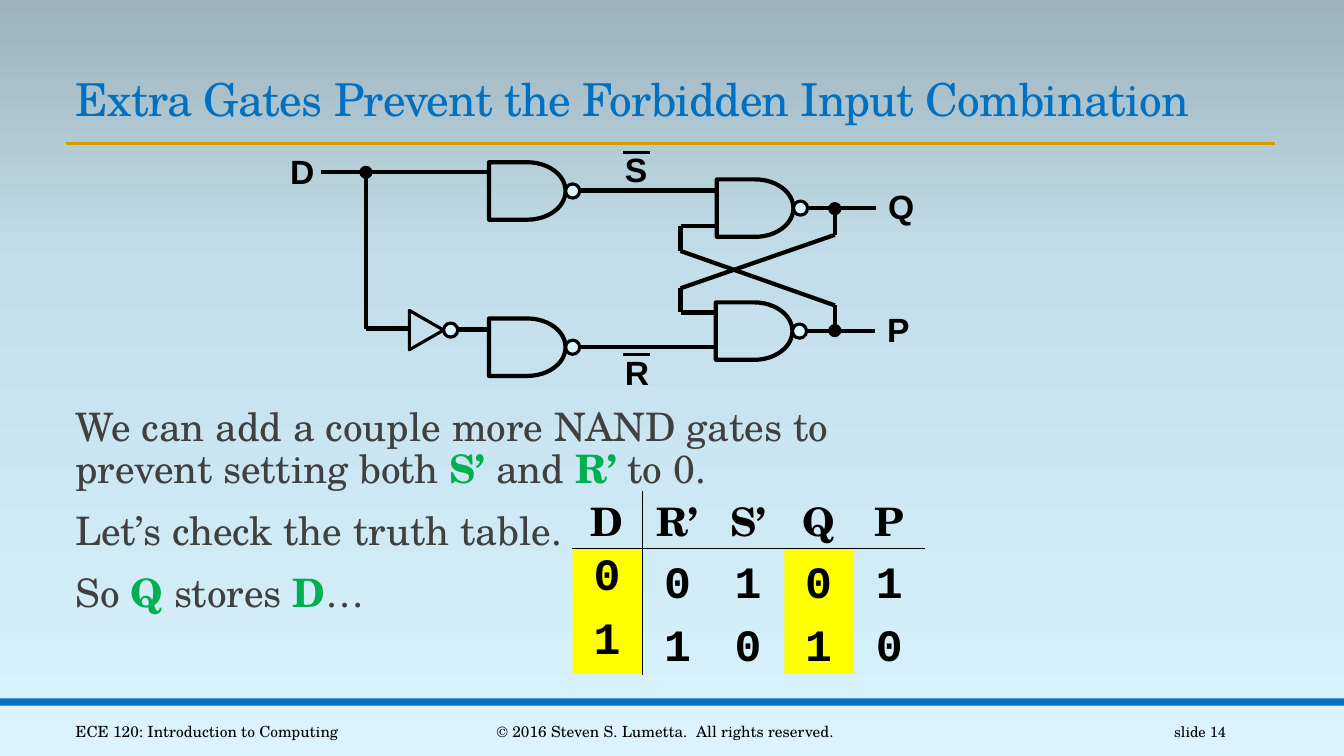
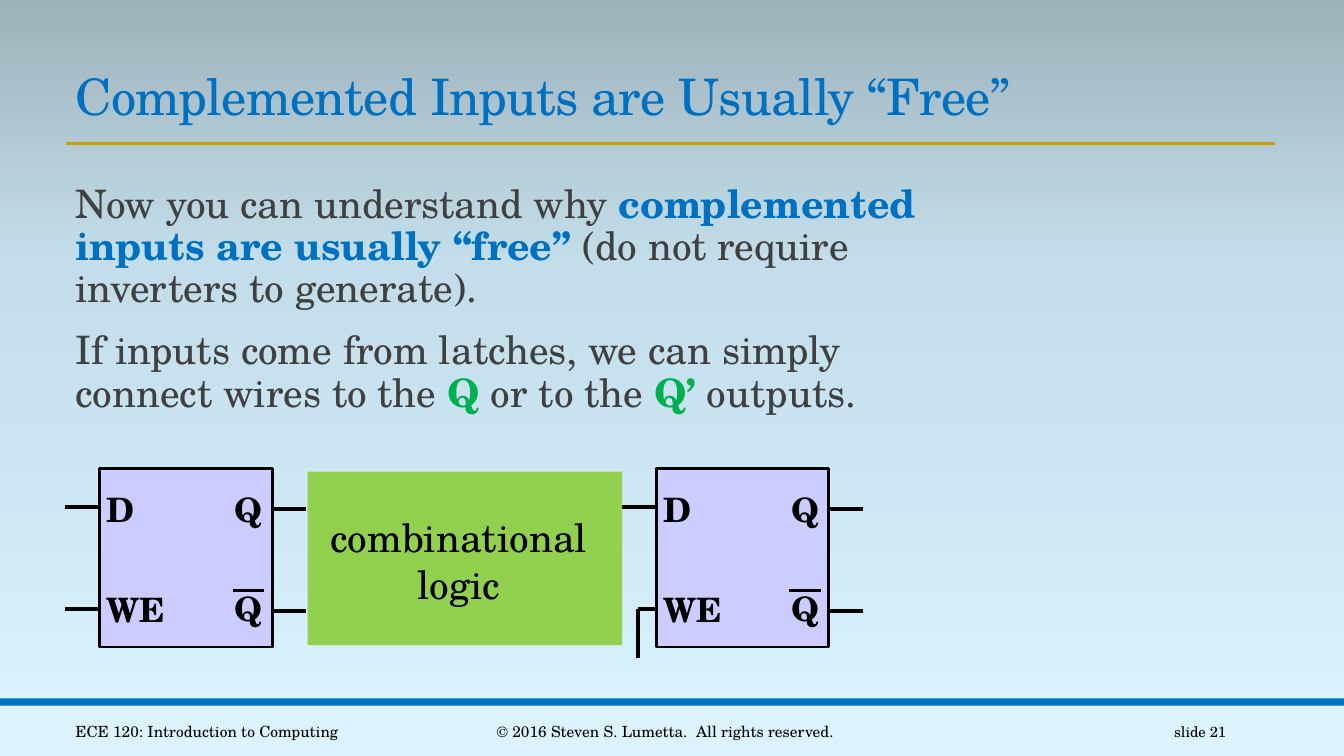
from itertools import pairwise

from lxml.etree import SubElement
from pptx import Presentation
from pptx.dml.color import RGBColor
from pptx.enum.shapes import MSO_CONNECTOR, MSO_SHAPE as Preset
from pptx.enum.text import MSO_ANCHOR as Anchor, PP_ALIGN as Align
from pptx.oxml.ns import qn
from pptx.util import Inches, Pt

SERIF, SANS, MONO = "TeX Gyre Schola", "Arial", "Courier New"
BLACK = RGBColor(0x00, 0x00, 0x00)
BLUE = RGBColor(0x00, 0x70, 0xC0)
GOLD = RGBColor(0xD0, 0x9E, 0x00)
GREEN = RGBColor(0x00, 0xB0, 0x50)
GREY = RGBColor(0x40, 0x40, 0x40)
ICE = RGBColor(0xDC, 0xF3, 0xFD)
YELLOW = RGBColor(0xFF, 0xFF, 0x00)
LILAC = RGBColor(0xCC, 0xCC, 0xFF)
LIME = RGBColor(0x92, 0xD0, 0x50)
SKY = [(0, RGBColor(0xDA, 0xF4, 0xFF)), (65, RGBColor(0xC3, 0xDE, 0xEA)),
       (100, RGBColor(0x9D, 0xB2, 0xBA))]
NO_STYLE_NO_GRID = "{2D5ABB26-0587-4C30-8999-92F81FD0307C}"

WIDTH, HEIGHT = 13.33, 7.5
MARGIN = 0.65
FOOTERS = [  # left, width, alignment, size
    (MARGIN, 3.25, Align.LEFT, 11, "ECE 120: Introduction to Computing"),
    (4.03, 5.14, Align.CENTER, 11, "© 2016 Steven S. Lumetta.  All rights reserved."),
    (10.83, 1.43, Align.RIGHT, 10.5, "slide {}"),
]

# Body paragraphs are lists of (text, accent colour or None).
GATES = {
    "title": "Extra Gates Prevent the Forbidden Input Combination",
    "title_size": 32.4, "number": 14, "body_top": 3.99,
    "body": [
        [("We can add a couple more NAND gates to\nprevent setting both ", None),
         ("S’", GREEN), (" and ", None), ("R’", GREEN), (" to 0.", None)],
        [("Let’s check the truth table.", None)],
        [("So ", None), ("Q", GREEN), (" stores ", None), ("D", GREEN), ("…", None)],
    ],
}
INPUTS = {
    "title": "Complemented Inputs are Usually “Free”",
    "title_size": 36, "number": 21, "body_top": 1.78,
    "body": [
        [("Now you can understand why ", None),
         ("complemented\ninputs are usually “free” ", BLUE),
         ("(do not require inverters to generate).", None)],
        [("If inputs come from latches, we can simply connect wires to the ", None),
         ("Q", GREEN), (" or to the ", None), ("Q’", GREEN), (" outputs.", None)],
    ],
}

# The table holds the headings and the input D; the rest is set on top of it.
TRUTH_TABLE = ["D R’ S’ Q P".split(), ["0"], ["1"]]
RESULTS = ["0101", "1010"]
TABLE_LEFT, TABLE_TOP, COLUMN_WIDTH = 5.67, 4.87, 0.7
ROW_HEIGHTS = [0.57, 0.63, 0.63]
HIGHLIGHTED = (0, 3)

NAND_GATES = [(4.85, 1.61), (4.85, 3.16), (7.11, 1.78), (7.1, 3.0)]
NAND_WIDTH, NAND_HEIGHT = 0.76, 0.57
BUBBLE, DOT = 0.14, 0.1
INVERTER = (4.06, 3.08, 0.34, 0.39)
JUNCTIONS = [(3.63, 1.71), (8.28, 2.07), (8.28, 3.28)]
WIRES = [
    [(3.18, 1.71), (4.85, 1.71)],
    [(3.63, 1.71), (3.63, 3.26), (4.06, 3.26)],
    [(4.54, 3.27), (4.85, 3.27)],
    [(5.75, 1.89), (7.11, 1.89)],
    [(5.75, 3.44), (7.1, 3.44)],
    [(8.02, 2.06), (8.69, 2.06)],
    [(8.0, 3.28), (8.68, 3.28)],
    [(8.28, 2.06), (8.28, 2.33), (6.75, 2.86), (6.75, 3.1), (7.1, 3.1)],
    [(8.28, 3.28), (8.28, 3.03), (6.75, 2.49), (6.75, 2.24), (7.11, 2.24)],
]
SIGNALS = [("D", 2.78, 1.45), ("Q", 8.71, 1.8), ("P", 8.7, 3.02),
           ("S", 6.1, 1.43), ("R", 6.1, 3.44)]
COMPLEMENTED = "SR"

LATCH_TOP, LATCH_WIDTH, LATCH_HEIGHT, STUB = 4.65, 1.71, 1.77, 0.34
LATCHES = (0.99, 6.51)
LATCH_PINS = [("D", -0.03, 0.15), ("WE", -0.03, 1.14), ("Q", 1.24, 0.15), ("Q", 1.24, 1.13)]
LOGIC = ["combinational", "logic"]


def add_shape(slide, preset, left, top, width, height, fill=None, line=None, weight=2.25):
    shape = slide.shapes.add_shape(
        preset, Inches(left), Inches(top), Inches(width), Inches(height))
    shape.shadow.inherit = False
    if fill is None:
        shape.fill.background()
    else:
        shape.fill.solid()
        shape.fill.fore_color.rgb = fill
    if line is None:
        shape.line.fill.background()
    else:
        shape.line.color.rgb = line
        shape.line.width = Pt(weight)
    return shape


def add_circle(slide, center_x, center_y, diameter, fill):
    add_shape(slide, Preset.OVAL, center_x - diameter / 2, center_y - diameter / 2,
              diameter, diameter, fill, BLACK)


def add_wire(slide, points, color=BLACK, weight=3):
    """Join successive points with straight lines."""
    for start, end in pairwise(points):
        wire = slide.shapes.add_connector(
            MSO_CONNECTOR.STRAIGHT, *(Inches(value) for value in start + end))
        wire.line.color.rgb = color
        wire.line.width = Pt(weight)
        SubElement(wire._element.spPr, qn("a:effectLst"))


def style(font, size, name=SERIF, color=BLACK, bold=False):
    font.size, font.name, font.bold = Pt(size), name, bold
    font.color.rgb = color


def add_text(slide, left, top, width, height, text, size, name=SERIF, color=BLACK,
             bold=False, align=Align.LEFT, anchor=Anchor.TOP):
    box = slide.shapes.add_textbox(Inches(left), Inches(top), Inches(width), Inches(height))
    frame = box.text_frame
    frame.word_wrap = True
    frame.vertical_anchor = anchor
    frame.text = text
    for paragraph in frame.paragraphs:
        paragraph.alignment = align
        for run in paragraph.runs:
            style(run.font, size, name, color, bold)
    return frame


def add_label(slide, text, left, top, name, barred=False, bar_width=0.27):
    """Name a signal, with a bar above it when it is complemented."""
    add_text(slide, left, top, 0.8, 0.5, text, 24, name, bold=True)
    if barred:
        bar_left, bar_top = left + 0.08, top + 0.08
        add_wire(slide, [(bar_left, bar_top), (bar_left + bar_width, bar_top)], weight=2)


def paint_background(slide):
    fill = slide.background.fill
    fill.gradient()
    fill.gradient_angle = 90
    stops = slide.element.find(".//" + qn("a:gsLst"))
    for stop in list(stops):
        stops.remove(stop)
    for percent, color in SKY:
        stop = SubElement(stops, qn("a:gs"), pos=str(percent * 1000))
        SubElement(stop, qn("a:srgbClr"), val=str(color))


def add_body(slide, top, paragraphs):
    frame = add_text(slide, MARGIN, top, 8.52, 6.42 - top, "", 28)
    frame.margin_right = 0
    for index, parts in enumerate(paragraphs):
        paragraph = frame.add_paragraph() if index else frame.paragraphs[0]
        paragraph.line_spacing = 0.9
        paragraph.space_before = Pt(12 if index else 0)
        paragraph.space_after = Pt(2)
        for text, accent in parts:
            for number, piece in enumerate(text.split("\n")):
                if number:
                    paragraph.add_line_break()
                run = paragraph.add_run()
                run.text = piece
                style(run.font, 28, color=accent or GREY, bold=accent is not None)


def add_slide(presentation, content):
    """Add a slide with the shared background, bands, title, body and footers."""
    slide = presentation.slides.add_slide(presentation.slide_layouts[6])
    paint_background(slide)
    add_shape(slide, Preset.RECTANGLE, 0, 7, WIDTH, 0.5, ICE)
    add_shape(slide, Preset.RECTANGLE, 0, 6.93, WIDTH, 0.07, BLUE)
    add_wire(slide, [(MARGIN, 1.42), (12.65, 1.42)], GOLD, 2)
    title = add_text(slide, MARGIN, 0.59, 12.01, 0.71, content["title"],
                     content["title_size"], color=BLUE, anchor=Anchor.BOTTOM).paragraphs[0]
    title.line_spacing = 0.85
    title.runs[0].font._element.set("spc", "-50")
    add_body(slide, content["body_top"], content["body"])
    for left, width, align, size, text in FOOTERS:
        add_text(slide, left, 7.06, width, 0.4, text.format(content["number"]), size,
                 align=align, anchor=Anchor.MIDDLE)
    return slide


def add_border(cell, side):
    line = SubElement(cell._tc.get_or_add_tcPr(), qn("a:" + side), w=str(Pt(1)))
    fill = SubElement(line, qn("a:solidFill"))
    SubElement(fill, qn("a:srgbClr"), val=str(BLACK))


def add_truth_table(slide):
    columns = len(TRUTH_TABLE[0])
    column_lefts = [TABLE_LEFT + column * COLUMN_WIDTH for column in range(columns)]
    first_row_top = TABLE_TOP + ROW_HEIGHTS[0]
    for column in HIGHLIGHTED:
        add_shape(slide, Preset.RECTANGLE, column_lefts[column] + 0.01, first_row_top,
                  COLUMN_WIDTH - 0.01, 1.24, YELLOW)
    frame = slide.shapes.add_table(
        len(TRUTH_TABLE), columns, Inches(TABLE_LEFT), Inches(TABLE_TOP),
        Inches(columns * COLUMN_WIDTH), Inches(sum(ROW_HEIGHTS)))
    table = frame.table
    table.first_row = table.horz_banding = False
    table._tbl.tblPr.find(qn("a:tableStyleId")).text = NO_STYLE_NO_GRID
    for row, height in zip(table.rows, ROW_HEIGHTS):
        row.height = Inches(height)
    for row, values in enumerate(TRUTH_TABLE):
        header = row == 0
        size, name = (28, SERIF) if header else (32, MONO)
        for column in range(columns):
            cell = table.cell(row, column)
            cell.margin_left = cell.margin_right = cell.margin_bottom = 0
            cell.margin_top = Inches(0 if header else 0.05)
            cell.vertical_anchor = Anchor.BOTTOM if header else Anchor.TOP
            if column == 0:
                add_border(cell, "lnR")
            if header:
                add_border(cell, "lnB")
            cell.fill.background()
            if column < len(values):
                cell.text_frame.text = values[column]
                paragraph = cell.text_frame.paragraphs[0]
                paragraph.alignment = Align.CENTER
                style(paragraph.runs[0].font, size, name, bold=True)
    for row, digits in enumerate(RESULTS):
        for left, digit in zip(column_lefts[1:], digits):
            add_text(slide, left, first_row_top + row * ROW_HEIGHTS[1], COLUMN_WIDTH, 0.64,
                     digit, 32, MONO, bold=True, align=Align.CENTER)


def add_circuit(slide):
    for points in WIRES:
        add_wire(slide, points)
    for left, top in NAND_GATES:
        add_shape(slide, Preset.FLOWCHART_DELAY, left, top, NAND_WIDTH, NAND_HEIGHT,
                  line=BLACK, weight=3)
        add_circle(slide, left + NAND_WIDTH + BUBBLE / 2, top + NAND_HEIGHT / 2, BUBBLE, ICE)
    left, top, length, breadth = INVERTER
    middle = top + breadth / 2
    triangle = add_shape(slide, Preset.ISOSCELES_TRIANGLE, left + (length - breadth) / 2,
                         middle - length / 2, breadth, length, line=BLACK)
    triangle.rotation = 90
    add_circle(slide, left + length + BUBBLE / 2, middle, BUBBLE, ICE)
    for x, y in JUNCTIONS:
        add_circle(slide, x, y, DOT, BLACK)
    for text, x, y in SIGNALS:
        add_label(slide, text, x, y, SANS, text in COMPLEMENTED)


def add_latch(slide, left, clocked):
    """Draw a latch; a clocked one has its WE wire bent downwards."""
    add_shape(slide, Preset.RECTANGLE, left, LATCH_TOP, LATCH_WIDTH, LATCH_HEIGHT,
              LILAC, BLACK, 2)
    for index, (text, x, y) in enumerate(LATCH_PINS):
        add_label(slide, text, left + x, LATCH_TOP + y, SERIF, index == 3, 0.31)
    right = left + LATCH_WIDTH
    for y in (5.05, 6.06):
        add_wire(slide, [(right, y), (right + STUB, y)])
    add_wire(slide, [(left - STUB, 5.03), (left, 5.03)])
    bend = left - 0.18
    add_wire(slide, [(left, 6.04), (bend, 6.04), (bend, 6.53)] if clocked
             else [(left, 6.04), (left - STUB, 6.04)])


def main():
    presentation = Presentation()
    presentation.slide_width, presentation.slide_height = Inches(WIDTH), Inches(HEIGHT)

    slide = add_slide(presentation, GATES)
    add_circuit(slide)
    add_truth_table(slide)

    slide = add_slide(presentation, INPUTS)
    for left in LATCHES:
        add_latch(slide, left, clocked=left == LATCHES[-1])
    add_shape(slide, Preset.RECTANGLE, 3.05, 4.68, 3.12, 1.72, LIME)
    add_text(slide, 3.16, 5.04, 2.78, 1.04, "\n".join(LOGIC), 28, align=Align.CENTER)

    presentation.save("out.pptx")


if __name__ == "__main__":
    main()
